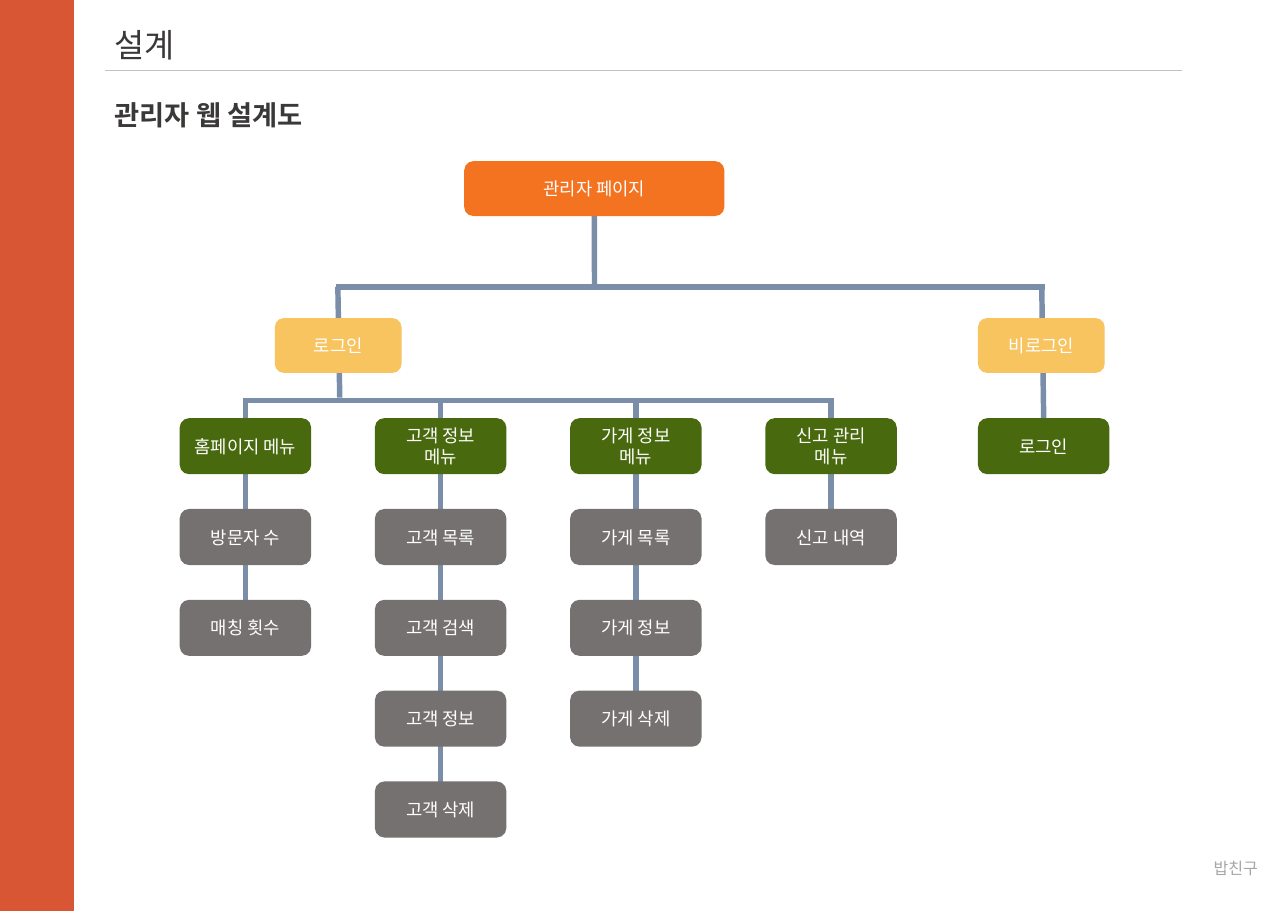
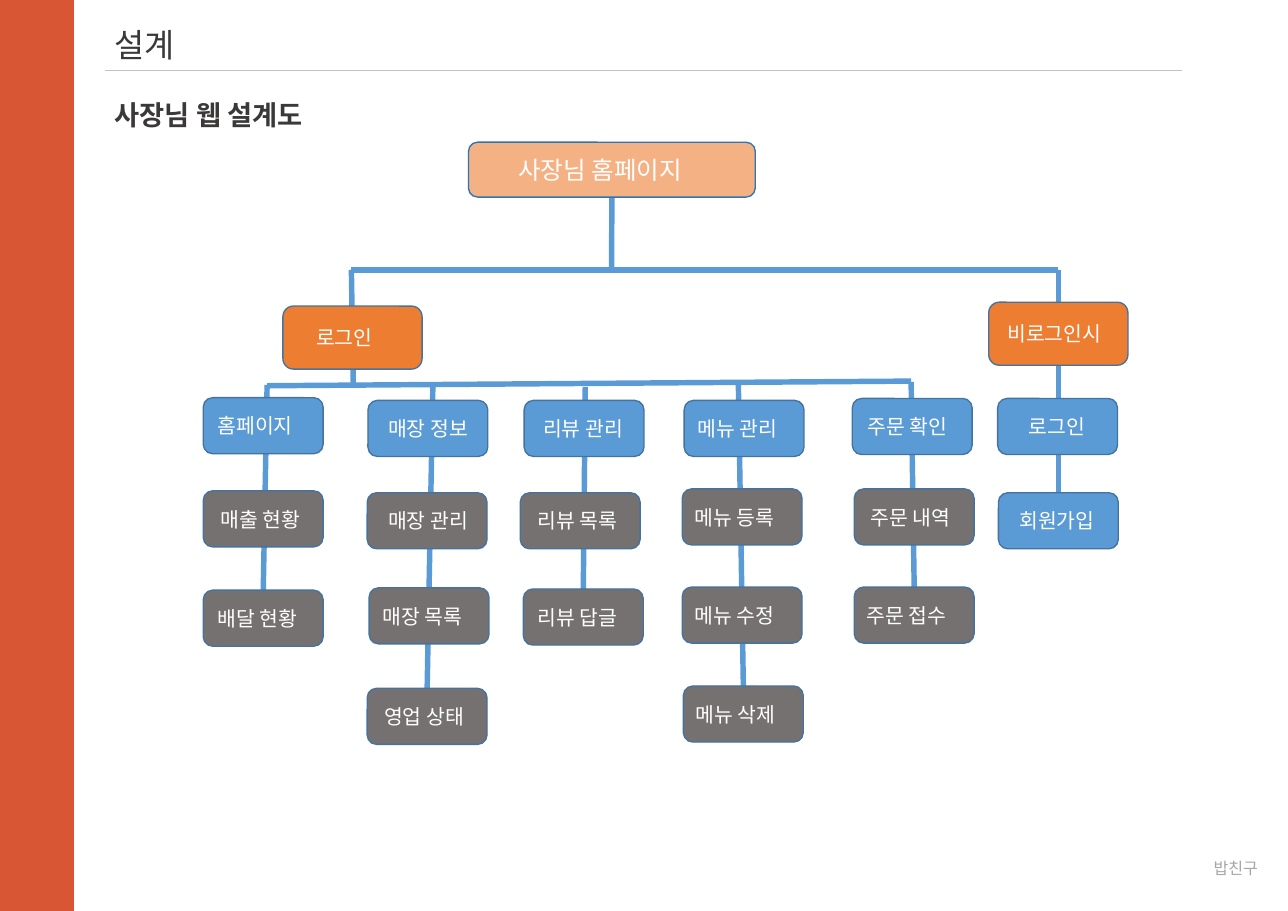
from dataclasses import dataclass
from typing import NamedTuple

from lxml import etree
from pptx import Presentation
from pptx.dml.color import RGBColor
from pptx.enum import shapes, text
from pptx.oxml.ns import qn
from pptx.util import Cm, Pt


@dataclass(frozen=True)
class Theme:
    """Colours, font and type sizes of the deck."""
    font: str = "Noto Sans CJK KR"
    band: str = "D85633"
    rule: str = "C2C2C2"
    ink: str = "3B3838"
    muted: str = "A6A6A6"
    white: str = "FFFFFF"
    gray: str = "767171"
    slate: str = "7B8EA9"
    blue: str = "5B9BD5"
    edge: str = "43739E"
    title: float = 24
    subtitle: float = 20
    root: float = 18
    label: float = 15
    node: float = 13
    footer: float = 11.8


T = Theme()
WIDTH, HEIGHT = 33.32, 23.57


class Point(NamedTuple):
    """A place on the slide in centimetres."""
    x: float
    y: float


@dataclass(frozen=True)
class Style:
    """Look and size of one kind of box."""
    fill: str
    width: float
    height: float
    size: float
    line: str | None = None


@dataclass(frozen=True)
class Node:
    """A labelled box; with an inset its label is set from the left."""
    label: str
    style: Style
    left: float
    top: float
    inset: float | None = None


@dataclass(frozen=True)
class Branch:
    """A trunk that runs behind its boxes to the last one, or to a free foot."""
    start: Point
    nodes: list[Node]
    foot: Point | None = None


@dataclass(frozen=True)
class Chart:
    """A site tree with its heading."""
    heading: str
    color: str
    root: Node
    root_foot: Point
    branches: list[Branch]
    buses: list[tuple[Point, Point]]


def write(sp, content: str, *, size: float, color: str, bold: bool = False,
          align=text.PP_ALIGN.LEFT, wrap: bool = True, left: float = 0.25, right: float = 0.25) -> None:
    """Put formatted text in a shape, centred vertically."""
    tf = sp.text_frame
    tf.word_wrap = wrap
    tf.auto_size = text.MSO_AUTO_SIZE.NONE
    tf.vertical_anchor = text.MSO_ANCHOR.MIDDLE
    tf.margin_left, tf.margin_right = Cm(left), Cm(right)
    p = tf.paragraphs[0]
    p.alignment = align
    r = p.add_run()
    r.text = content
    r.font.size, r.font.bold, r.font.name = Pt(size), bold, T.font
    r.font.color.rgb = RGBColor.from_string(color)
    etree.SubElement(r._r.get_or_add_rPr(), qn("a:ea"), typeface=T.font)


def add_box(s, kind, left: float, top: float, width: float, height: float,
            fill: str, line: str | None = None):
    """Draw a filled preset shape."""
    sp = s.shapes.add_shape(kind, Cm(left), Cm(top), Cm(width), Cm(height))
    sp.shadow.inherit = False
    sp.fill.solid()
    sp.fill.fore_color.rgb = RGBColor.from_string(fill)
    if line:
        sp.line.color.rgb = RGBColor.from_string(line)
        sp.line.width = Pt(1)
    else:
        sp.line.fill.background()
    return sp


def add_line(s, start: Point, end: Point, color: str, weight: float = 4):
    """Draw a straight connector without a shadow."""
    c = s.shapes.add_connector(shapes.MSO_CONNECTOR.STRAIGHT,
                               Cm(start.x), Cm(start.y), Cm(end.x), Cm(end.y))
    c.line.color.rgb = RGBColor.from_string(color)
    c.line.width = Pt(weight)
    etree.SubElement(c._element.spPr, qn("a:effectLst"))
    return c


def add_node(s, node: Node):
    """Draw a labelled rounded box."""
    st = node.style
    sp = add_box(s, shapes.MSO_SHAPE.ROUNDED_RECTANGLE, node.left, node.top,
                 st.width, st.height, st.fill, st.line)
    if node.inset is None:
        write(sp, node.label, size=st.size, color=T.white,
              align=text.PP_ALIGN.CENTER, left=0.27, right=0.27)
    else:
        write(sp, node.label, size=st.size, color=T.white, left=node.inset, right=0)
    return sp


def add_branch(s, branch: Branch, color: str) -> None:
    """Draw a trunk with its boxes in front."""
    last = branch.nodes[-1]
    trunk = add_line(s, branch.start, branch.foot or Point(last.left, last.top), color)
    boxes = [add_node(s, node) for node in branch.nodes]
    if branch.foot is None:
        trunk.end_connect(boxes[-1], 0)


def add_frame(prs, heading: str):
    """Start a slide with band, rule, title, heading and footer."""
    s = prs.slides.add_slide(prs.slide_layouts[5])
    add_box(s, shapes.MSO_SHAPE.RECTANGLE, -0.05, 0, 1.96, HEIGHT, T.band)
    add_line(s, Point(2.72, 1.83), Point(30.58, 1.83), T.rule, 0.5)
    title = s.shapes.title
    title.left, title.top, title.width, title.height = Cm(2.72), Cm(0.51), Cm(24.66), Cm(1.27)
    write(title, "설계", size=T.title, color=T.ink)
    sp = s.shapes.add_textbox(Cm(2.72), Cm(2.41), Cm(6), Cm(1.12))
    write(sp, heading, size=T.subtitle, color=T.ink, bold=True, wrap=False)
    sp = s.shapes.add_textbox(Cm(21.54), Cm(21.84), Cm(11.25), Cm(1.24))
    write(sp, "밥친구", size=T.footer, color=T.muted, align=text.PP_ALIGN.RIGHT)
    return s


def add_chart_slide(prs, chart: Chart) -> None:
    """Build one slide with its tree."""
    s = add_frame(prs, chart.heading)
    root_line = add_line(s, chart.root_foot, chart.root_foot, chart.color)
    root_line.begin_connect(add_node(s, chart.root), 2)
    for start, end in chart.buses:
        add_line(s, start, end, chart.color)
    for branch in chart.branches:
        add_branch(s, branch, chart.color)


def admin_chart() -> Chart:
    """Describe the administrator site on an even grid."""
    root = Style("F37321", 6.73, 1.42, T.node)
    access = Style("F7C45F", 3.28, 1.42, T.node)
    menu = Style("48690D", 3.4, 1.45, T.node)
    page = Style(T.gray, 3.4, 1.45, T.node)
    left, top, col_step, row_step = 4.65, 10.82, 5.05, 2.35
    bus_top, bus_low = 7.42, 10.36
    columns = [
        ["홈페이지 메뉴", "방문자 수", "매칭 횟수"],
        ["고객 정보 메뉴", "고객 목록", "고객 검색", "고객 정보", "고객 삭제"],
        ["가게 정보 메뉴", "가게 목록", "가게 정보", "가게 삭제"],
        ["신고 관리 메뉴", "신고 내역"],
    ]
    branches = [
        Branch(Point(8.74, bus_top), [Node("로그인", access, 7.11, 8.23)], Point(8.79, 10.29)),
        Branch(Point(26.95, bus_top), [Node("비로그인", access, 25.3, 8.23),
                                       Node("로그인", menu, 25.3, top)]),
    ]
    for i, labels in enumerate(columns):
        x = left + i * col_step
        nodes = [Node(label, page if k else menu, x, top + k * row_step)
                 for k, label in enumerate(labels)]
        branches.append(Branch(Point(x + menu.width / 2, bus_low), nodes))
    buses = [(Point(27.03, bus_top), Point(8.69, bus_top)),
             (Point(6.28, bus_low), Point(21.57, bus_low))]
    return Chart("관리자 웹 설계도", T.slate, Node("관리자 페이지", root, 12.01, 4.17),
                 Point(15.38, 7.49), branches, buses)


def owner_chart() -> Chart:
    """Describe the owner site with freely placed boxes."""
    root = Style("F4B183", 7.42, 1.42, T.root, "2E75B6")
    access = Style("ED7D31", 3.6, 1.63, T.label, T.edge)
    menu = Style(T.blue, 3.1, 1.45, T.label, T.edge)
    page = Style(T.gray, 3.1, 1.45, T.label, T.edge)
    bus_top = 6.98
    center, login, guest = Point(15.82, bus_top), Point(9.09, bus_top), Point(27.38, bus_top)
    branches = [
        Branch(login, [Node("로그인", access, 7.32, 7.92, 0.78)], Point(9.14, 10.01)),
        Branch(guest, [Node("비로그인시", access, 25.58, 7.82, 0.4),
                       Node("로그인", menu, 25.81, 10.31, 0.73),
                       Node("회원가입", menu, 25.83, 12.75, 0.47)]),
        Branch(Point(6.91, 9.96), [Node("홈페이지", menu, 5.26, 10.29, 0.3),
                                   Node("매출 현황", page, 5.26, 12.7, 0.37),
                                   Node("배달 현황", page, 5.26, 15.27, 0.3)]),
        Branch(Point(11.2, 9.96), [Node("매장 정보", menu, 9.52, 10.36, 0.45),
                                   Node("매장 관리", page, 9.5, 12.75, 0.47),
                                   Node("매장 목록", page, 9.55, 15.21, 0.27),
                                   Node("영업 상태", page, 9.5, 17.81, 0.37)]),
        Branch(Point(15.14, 10.01), [Node("리뷰 관리", menu, 13.56, 10.36, 0.42),
                                     Node("리뷰 목록", page, 13.46, 12.75, 0.37),
                                     Node("리뷰 답글", page, 13.54, 15.24, 0.3)]),
        Branch(Point(19.1, 9.86), [Node("메뉴 관리", menu, 17.7, 10.36, 0.27),
                                   Node("메뉴 등록", page, 17.65, 12.65, 0.25),
                                   Node("메뉴 수정", page, 17.65, 15.19, 0.25),
                                   Node("메뉴 삭제", page, 17.68, 17.75, 0.25)]),
        Branch(Point(23.57, 9.88), [Node("주문 확인", menu, 22.05, 10.31, 0.32),
                                    Node("주문 내역", page, 22.1, 12.65, 0.35),
                                    Node("주문 접수", page, 22.1, 15.19, 0.25)]),
    ]
    buses = [(center, login), (center, guest), (Point(6.91, 9.98), Point(23.57, 9.86))]
    return Chart("사장님 웹 설계도", T.blue, Node("사장님 홈페이지", root, 12.12, 3.68, 1.22),
                 center, branches, buses)


def main() -> None:
    """Build and save the deck."""
    prs = Presentation()
    prs.slide_width, prs.slide_height = Cm(WIDTH), Cm(HEIGHT)
    for chart in (admin_chart(), owner_chart()):
        add_chart_slide(prs, chart)
    prs.save("out.pptx")


if __name__ == "__main__":
    main()
